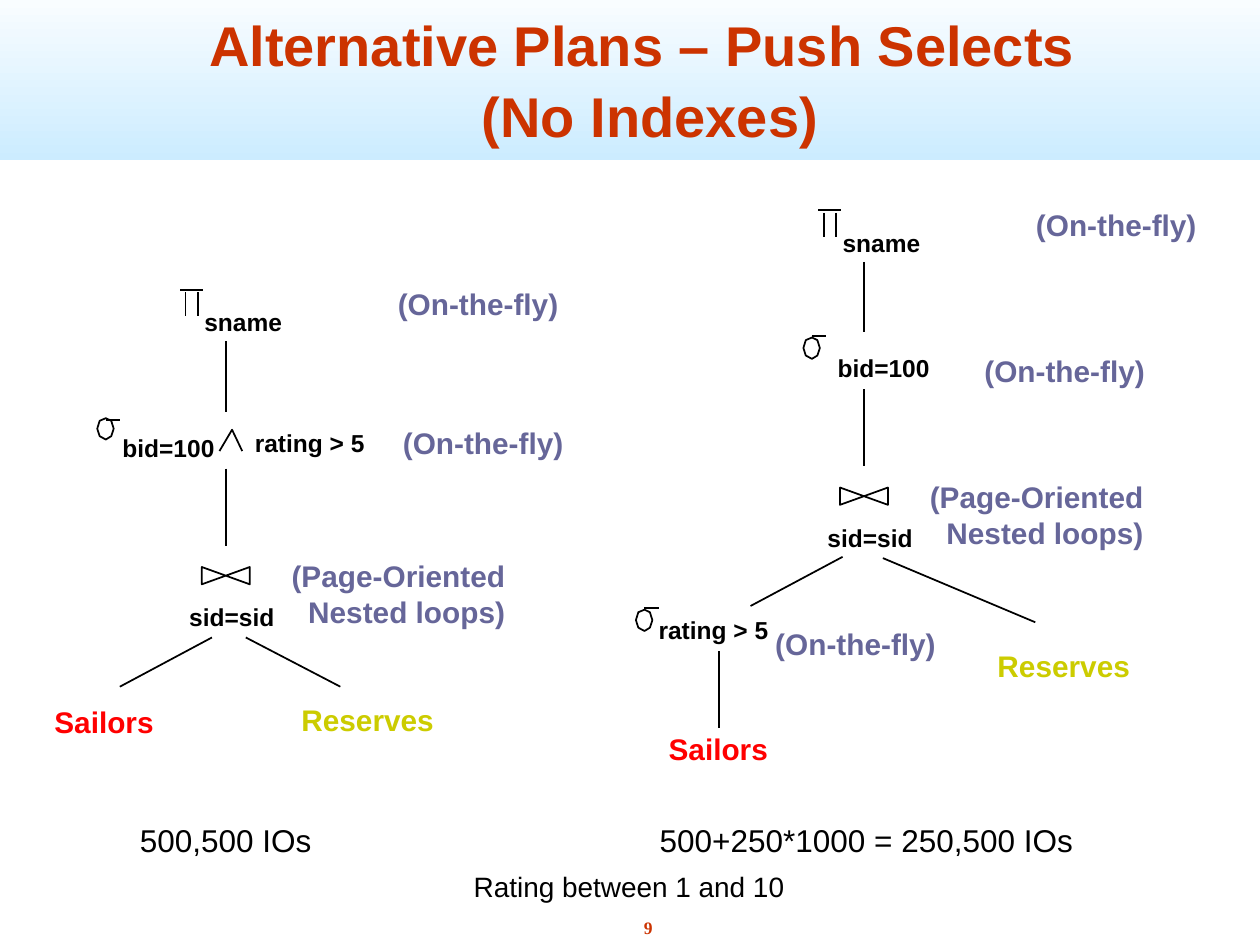
from dataclasses import dataclass

from lxml import etree
from pptx import Presentation
from pptx.dml.color import RGBColor
from pptx.enum.shapes import MSO_CONNECTOR, MSO_SHAPE
from pptx.enum.text import MSO_ANCHOR, MSO_AUTO_SIZE, PP_ALIGN
from pptx.oxml.ns import qn
from pptx.util import Pt

STRAIGHT = MSO_CONNECTOR.STRAIGHT
RECTANGLE = MSO_SHAPE.RECTANGLE
LEFT, CENTER, RIGHT = PP_ALIGN.LEFT, PP_ALIGN.CENTER, PP_ALIGN.RIGHT
TOP, MIDDLE, BOTTOM = MSO_ANCHOR.TOP, MSO_ANCHOR.MIDDLE, MSO_ANCHOR.BOTTOM
FIT_SHAPE, NO_FIT = MSO_AUTO_SIZE.SHAPE_TO_FIT_TEXT, MSO_AUTO_SIZE.NONE


@dataclass(frozen=True)
class Style:
    size: float
    color: str
    bold: bool = True
    font: str = "Arial"
    align: PP_ALIGN = LEFT
    anchor: MSO_ANCHOR = TOP


class Theme:
    ink = "000000"
    line_width = 1
    inset = 3.6
    banner = ("CCECFF", "FFFFFF")
    title = Style(32, "CC3300", align=CENTER, anchor=BOTTOM)
    operator = Style(14, ink)
    method = Style(17, "666699", align=RIGHT)
    sailors = Style(17, "FF0000")
    reserves = Style(17, "CCCC00")
    cost = Style(18, ink, bold=False, align=CENTER, anchor=MIDDLE)
    note = Style(16, ink, bold=False)
    number = Style(10, "CC3300", font="Times New Roman", align=CENTER)


TITLE = "Alternative Plans – Push Selects \v(No Indexes)"
TITLE_BOX = (65.5, 1.4, 612, 87.1)
BANNER_BOX = (0, -12.2, 720, 103.7)

# label: (text, width, height, style)
LABELS = {
    "sname": ("sname", 52.6, 22.3, Theme.operator),
    "bid": ("bid=100", 64.1, 22.3, Theme.operator),
    "rating": ("rating > 5", 70.6, 22.3, Theme.operator),
    "sid": ("sid=sid", 56.9, 22.3, Theme.operator),
    "fly": ("(On-the-fly)", 99.4, 26.6, Theme.method),
    "loops": ("(Page-Oriented\nNested loops)", 129.6, 46.8, Theme.method),
    "sailors": ("Sailors", 64.8, 26.6, Theme.sailors),
    "reserves": ("Reserves", 83.5, 26.6, Theme.reserves),
}

# Offsets in a plan run from its trunk line and the bar of its projection sign.
TRUNK = {
    "labels": [("sname", -15.8, 6.5), ("fly", 94.3, -5.8),
               ("loops", 33.8, 149.8), ("sid", -24.5, 175)],
    "lines": [(-26, 0, -13, 0), (-23, 1.4, -23, 15), (-16, 1.4, -16, 15),
              (0, 29.5, 0, 69.8), (0, 102.2, 0, 146.2)],
}
JOIN = [(-13.7, 158.4), (13.7, 168.3), (13.7, 158.4), (-13.7, 168.3)]
WEDGE = [(-3.6, 92.2), (3.6, 80), (9.4, 92.2)]
SIGMA_RING = [(9.4, 6), (8, 1.5), (4.9, 0), (1.4, 1.5),
              (0, 6), (1.4, 10.3), (4.9, 12.2), (8, 10.3)]
SIGMA_BAR = (4.9, 13)

PLANS = [
    {
        "origin": (129, 165.6),
        "labels": [("bid", -62.6, 78.5), ("rating", 13, 75.6), ("fly", 97.2, 73.4),
                   ("sailors", -101.5, 233.3), ("reserves", 39.6, 231.8)],
        "lines": [(-7.9, 198.7, -60.5, 226.8), (11.5, 198.7, 65.5, 226.8)],
        "sigmas": [(-73.4, 73.4, 1)],  # x, y, drop of the bar
        "wedges": [WEDGE],
    },
    {
        "origin": (493.7, 120.2),
        "labels": [("bid", -18.7, 77.8), ("fly", 64.8, 77.8),
                   ("rating", -121, 227.5), ("fly", -54.7, 234),
                   ("sailors", -115.2, 293.8), ("reserves", 72.7, 246.2)],
        "lines": [(-12.2, 198, -64.8, 226.1), (10.8, 198.7, 97.9, 235.4),
                  (-82.8, 252, -82.8, 295.9)],
        "sigmas": [(-34.6, 72.7, -0.8), (-130.3, 228.2, -0.8)],
        "wedges": [],
    },
]

CAPTIONS = [
    ("500,500 IOs", (75.6, 465.1, 106.6, 29.5), Theme.cost),
    ("500+250*1000 = 250,500 IOs", (373, 465.1, 244.1, 29.5), Theme.cost),
    ("Rating between 1 and 10", (267.1, 493.2, 185.8, 25.9), Theme.note),
    ("9", (363.6, 520.6, 13.7, 19.4), Theme.number),
]


def points(values):
    return [Pt(value) for value in values]


def write(shape, text, style, wrap=False):
    frame = shape.text_frame
    frame.text = text
    frame.word_wrap = wrap
    frame.auto_size = NO_FIT if wrap else FIT_SHAPE
    frame.vertical_anchor = style.anchor
    frame.margin_left = frame.margin_right = Pt(Theme.inset)
    frame.margin_top = frame.margin_bottom = Pt(Theme.inset)
    for paragraph in frame.paragraphs:
        paragraph.alignment = style.align
        font = paragraph.font
        font.name, font.size, font.bold = style.font, Pt(style.size), style.bold
        font.color.rgb = RGBColor.from_string(style.color)


def add_text(shapes, text, box, style):
    write(shapes.add_textbox(*points(box)), text, style)


def ink_line(shape):
    shape.line.color.rgb = RGBColor.from_string(Theme.ink)
    shape.line.width = Pt(Theme.line_width)


def add_line(shapes, ends):
    connector = shapes.add_connector(STRAIGHT, *points(ends))
    ink_line(connector)
    etree.SubElement(connector._element.spPr, qn("a:effectLst"))


def add_outline(shapes, corners, close=True):
    start, *others = [points(corner) for corner in corners]
    builder = shapes.build_freeform(*start)
    builder.add_line_segments(others, close=close)
    outline = builder.convert_to_shape()
    outline.fill.background()
    outline.shadow.inherit = False
    ink_line(outline)


def add_plan(slide, plan):
    shapes = slide.shapes.add_group_shape().shapes
    left, top = plan["origin"]

    def place(corners, x=0, y=0):
        return [(left + x + dx, top + y + dy) for dx, dy in corners]

    for x1, y1, x2, y2 in TRUNK["lines"] + plan["lines"]:
        add_line(shapes, (left + x1, top + y1, left + x2, top + y2))
    add_outline(shapes, place(JOIN))
    for wedge in plan["wedges"]:
        add_outline(shapes, place(wedge), close=False)
    for x, y, drop in plan["sigmas"]:
        add_outline(shapes, place(SIGMA_RING, x, y))
        start, end = place([(bar_x, drop) for bar_x in SIGMA_BAR], x, y)
        add_line(shapes, start + end)
    for name, x, y in TRUNK["labels"] + plan["labels"]:
        text, width, height, style = LABELS[name]
        add_text(shapes, text, (left + x, top + y, width, height), style)


def add_banner(slide):
    banner = slide.shapes.add_shape(RECTANGLE, *points(BANNER_BOX))
    banner.shadow.inherit = False
    banner.line.fill.background()
    banner.fill.gradient()
    banner.fill.gradient_angle = 90
    for stop, color in zip(banner.fill.gradient_stops, Theme.banner):
        stop.color.rgb = RGBColor.from_string(color)
    slide.shapes._spTree.insert(2, banner._element)  # behind the title


def main():
    presentation = Presentation()
    presentation.slide_width, presentation.slide_height = Pt(720), Pt(540)
    slide = presentation.slides.add_slide(presentation.slide_layouts[5])
    add_banner(slide)
    title = slide.shapes.title
    title.left, title.top, title.width, title.height = points(TITLE_BOX)
    write(title, TITLE, Theme.title, wrap=True)
    title.text_frame.paragraphs[0].line_spacing = 1.05
    for plan in PLANS:
        add_plan(slide, plan)
    for text, box, style in CAPTIONS:
        add_text(slide.shapes, text, box, style)
    presentation.save("out.pptx")


if __name__ == "__main__":
    main()
